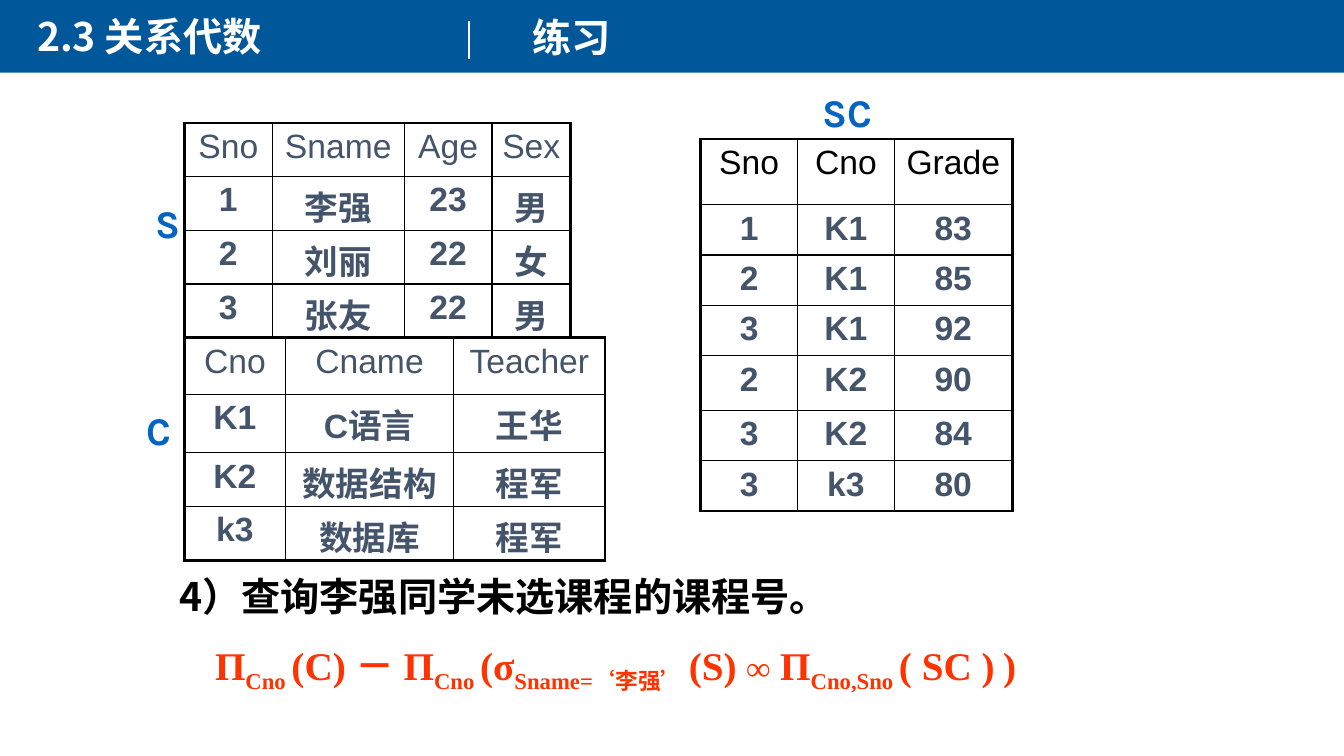
from dataclasses import dataclass

import lxml.etree
import pptx
import pptx.dml.color
import pptx.enum.shapes
import pptx.enum.text
import pptx.oxml.ns
import pptx.util

Inches = pptx.util.Inches
qn = pptx.oxml.ns.qn
CENTER = pptx.enum.text.PP_ALIGN.CENTER

COLORS = {
    "banner": "00589A",
    "white": "FFFFFF",
    "black": "000000",
    "slate": "44546A",
    "label": "0563C1",
    "formula": "FF3300",
}
CJK = "Noto Sans CJK SC"
TIMES = "Times New Roman"
OUTER, INNER = 2.25, 1


@dataclass
class Relation:
    left: float
    top: float
    widths: list[float]
    heights: list[float]
    rows: list[list[str]]
    header_color: str = "slate"


@dataclass
class Label:
    text: str
    box: tuple[float, float, float, float]
    font: str = CJK
    color: str = "black"
    align: pptx.enum.text.PP_ALIGN | None = None
    wrap: bool = True
    grow: bool = True
    hanging: float = 0


@dataclass
class Term:
    """One piece of the relational algebra formula."""
    text: str
    subscript: bool = False
    size: float = 28
    font: str = TIMES


RELATIONS = [
    Relation(1.83, 1.22, [0.87, 1.31, 0.87, 0.78], [0.53, 0.5, 0.5, 0.5], [
        ["Sno", "Sname", "Age", "Sex"],
        ["1", "李强", "23", "男"],
        ["2", "刘丽", "22", "女"],
        ["3", "张友", "22", "男"],
    ]),
    Relation(1.83, 3.35, [1, 1.67, 1.5], [0.56, 0.58, 0.5, 0.53], [
        ["Cno", "Cname", "Teacher"],
        ["K1", "C语言", "王华"],
        ["K2", "数据结构", "程军"],
        ["k3", "数据库", "程军"],
    ]),
    Relation(6.95, 1.38, [0.96, 0.96, 1.17], [0.65, 0.5, 0.5, 0.5, 0.54, 0.5, 0.5], [
        ["Sno", "Cno", "Grade"],
        ["1", "K1", "83"],
        ["2", "K1", "85"],
        ["3", "K1", "92"],
        ["2", "K2", "90"],
        ["3", "K2", "84"],
        ["3", "k3", "80"],
    ], header_color="black"),
]

LABELS = [
    Label("2.3 关系代数", (0.27, 0.07, 5.53, 0.57), color="white"),
    Label("练习", (5.18, 0.08, 8.65, 0.57), color="white"),
    Label("S", (1.44, 1.93, 0.45, 0.57), "Karla", "label", CENTER),
    Label("SC", (8.05, 0.83, 0.71, 0.57), "Karla", "label", CENTER, wrap=False),
    Label("C", (1.36, 3.98, 0.37, 0.57), "Karla", "label", CENTER),
    Label("4）查询李强同学未选课程的课程号。", (1.68, 5.63, 9.17, 0.58),
          grow=False, hanging=0.38),
]

FORMULA = [
    Term("П"), Term("Cno ", True), Term("(C) － П"), Term("Cno ", True),
    Term("(σ"), Term("Sname=", True), Term("‘李强’ ", True, font=CJK),
    Term("(S) "), Term("∞", size=24), Term(" П"), Term("Cno,Sno ", True),
    Term("( SC )"), Term(" ", size=24), Term(")"),
]


def rgb(color: str) -> pptx.dml.color.RGBColor:
    return pptx.dml.color.RGBColor.from_string(COLORS[color])


def add_text(paragraph, text: str, *, font: str, color: str, size: float = 28,
             bold: bool = True, subscript: bool = False) -> None:
    run = paragraph.add_run()
    run.text = text
    run.font.size = pptx.util.Pt(size)
    run.font.bold = bold
    run.font.color.rgb = rgb(color)
    run.font.name = font
    properties = run.font._element
    lxml.etree.SubElement(properties, qn("a:ea"), typeface=CJK)
    if subscript:
        properties.set("baseline", "-25000")


def add_box(slide, box: tuple[float, float, float, float], wrap: bool = True,
            grow: bool = True):
    """Add an empty text box and return its first paragraph."""
    frame = slide.shapes.add_textbox(*map(Inches, box)).text_frame
    frame.word_wrap = wrap
    sizing = pptx.enum.text.MSO_AUTO_SIZE
    frame.auto_size = sizing.SHAPE_TO_FIT_TEXT if grow else sizing.NONE
    return frame.paragraphs[0]


def add_label(slide, label: Label) -> None:
    paragraph = add_box(slide, label.box, label.wrap, label.grow)
    paragraph.alignment = label.align
    if label.hanging:
        properties = paragraph._p.get_or_add_pPr()
        properties.set("marL", str(Inches(label.hanging)))
        properties.set("indent", str(-Inches(label.hanging)))
    add_text(paragraph, label.text, font=label.font, color=label.color)


def add_border(cell, side: str, width: float) -> None:
    line = lxml.etree.SubElement(cell._tc.get_or_add_tcPr(), qn(f"a:ln{side}"),
                                 w=str(pptx.util.Pt(width)))
    fill = lxml.etree.SubElement(line, qn("a:solidFill"))
    lxml.etree.SubElement(fill, qn("a:srgbClr"), val=COLORS["black"])


def add_relation(slide, relation: Relation) -> None:
    last_row, last_column = len(relation.heights) - 1, len(relation.widths) - 1
    table = slide.shapes.add_table(
        last_row + 1, last_column + 1, Inches(relation.left), Inches(relation.top),
        Inches(sum(relation.widths)), Inches(sum(relation.heights))).table
    table.first_row = table.horz_banding = False
    for column, width in zip(table.columns, relation.widths):
        column.width = Inches(width)
    for row, height in zip(table.rows, relation.heights):
        row.height = Inches(height)

    for r, values in enumerate(relation.rows):
        for c, value in enumerate(values):
            cell = table.cell(r, c)
            cell.margin_bottom = 0
            on_edge = {"L": c == 0, "R": c == last_column, "T": r == 0, "B": r == last_row}
            for side, outside in on_edge.items():
                add_border(cell, side, OUTER if outside else INNER)
            cell.fill.background()
            paragraph = cell.text_frame.paragraphs[0]
            paragraph.alignment = CENTER
            add_text(paragraph, value, font="Arial", size=24, bold=r > 0,
                     color="slate" if r else relation.header_color)


def add_banner(slide) -> None:
    banner = slide.shapes.add_shape(pptx.enum.shapes.MSO_SHAPE.RECTANGLE,
                                    0, Inches(-0.02), Inches(13.33), Inches(0.74))
    banner.shadow.inherit = False
    banner.fill.solid()
    banner.fill.fore_color.rgb = rgb("banner")
    banner.line.fill.background()


def add_divider(slide) -> None:
    divider = slide.shapes.add_connector(pptx.enum.shapes.MSO_CONNECTOR.STRAIGHT,
                                         *map(Inches, (4.65, 0.21, 4.65, 0.59)))
    divider.line.color.rgb = rgb("white")
    divider.line.width = pptx.util.Pt(1.5)
    lxml.etree.SubElement(divider._element.spPr, qn("a:effectLst"))


def add_formula(slide) -> None:
    paragraph = add_box(slide, (1.36, 6.31, 9.49, 0.57))
    paragraph.alignment = CENTER
    for term in FORMULA:
        add_text(paragraph, term.text, font=term.font, color="formula",
                 size=term.size, subscript=term.subscript)


def main() -> None:
    deck = pptx.Presentation()
    deck.slide_width, deck.slide_height = Inches(13.33), Inches(7.5)
    slide = deck.slides.add_slide(deck.slide_layouts[6])
    add_banner(slide)
    add_divider(slide)
    for relation in RELATIONS:
        add_relation(slide, relation)
    for label in LABELS:
        add_label(slide, label)
    add_formula(slide)
    deck.save("out.pptx")


if __name__ == "__main__":
    main()
